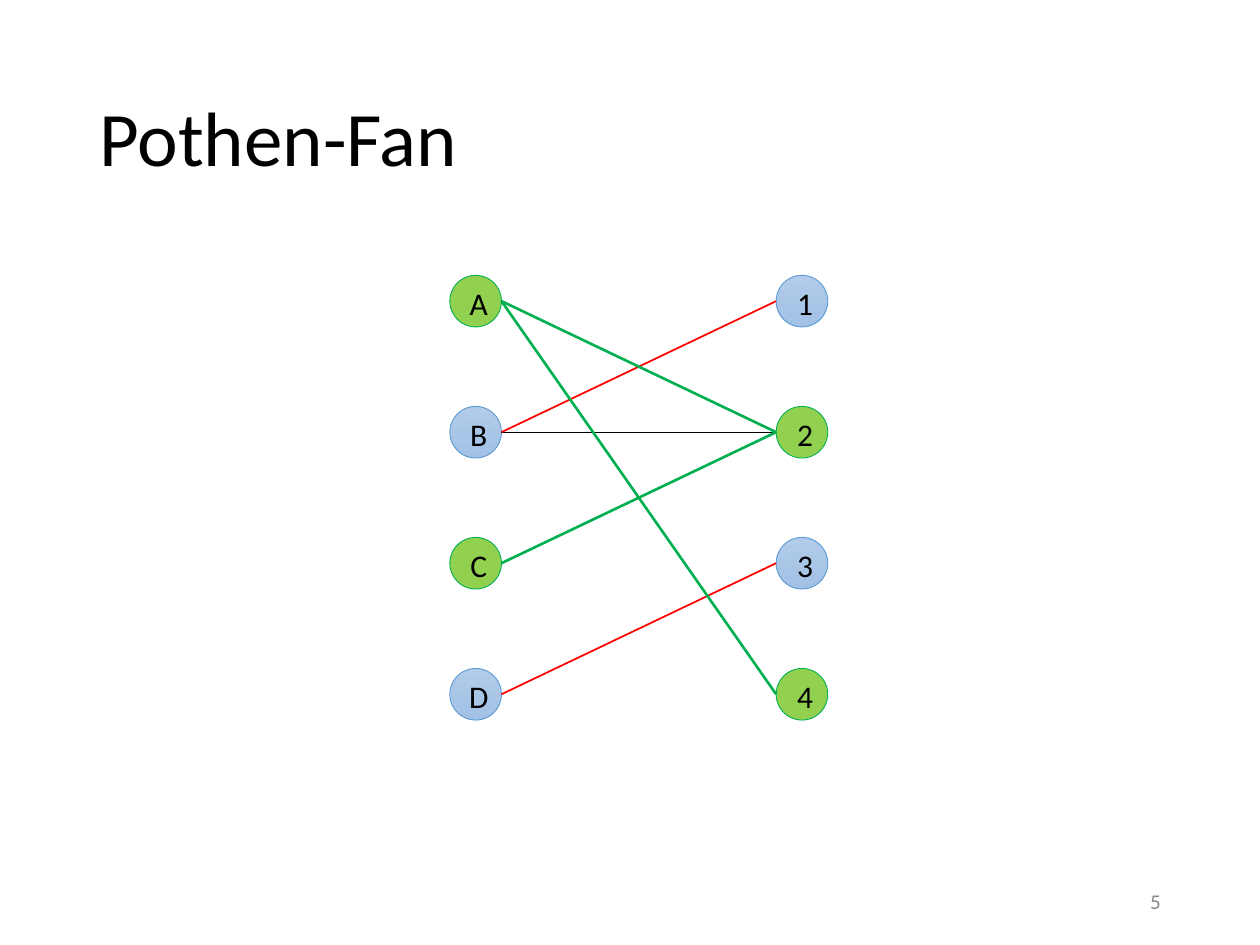
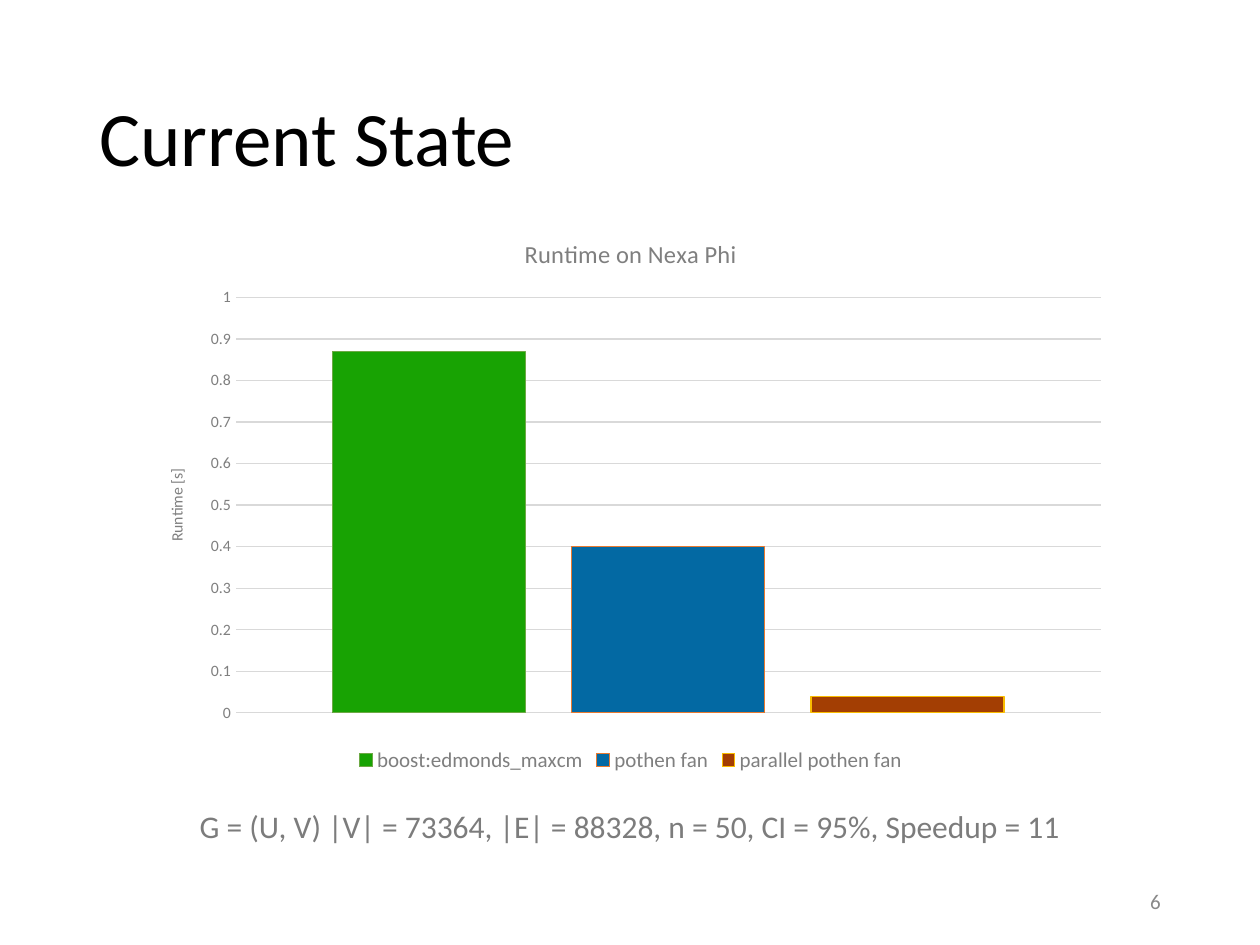
from dataclasses import dataclass

from lxml import etree
from pptx import Presentation
from pptx import util as u
from pptx.chart import data as chart_data
from pptx.dml.color import RGBColor
from pptx.enum import chart as ch, shapes, text
from pptx.oxml.ns import qn

# Content
MATCHING = {
    "title": "Pothen-Fan",
    "number": "5",
    "columns": ("ABCD", "1234"),
    "on_path": "AC24",
    "edges": [("B2", "idle"), ("B1", "matched"), ("D3", "matched"),
              ("C2", "augmenting"), ("A2", "augmenting"), ("A4", "augmenting")],
}
RUNTIME = {
    "title": "Current State",
    "number": "6",
    "chart_title": "Runtime on Nexa Phi",
    "axis_title": "Runtime [s]",
    "category": "1",
    "series": [("boost:edmonds_maxcm", 0.87, "18A303", "6DA945"),
               ("pothen fan", 0.4, "0369A3", "E87A30"),
               ("parallel pothen fan", 0.04, "A33E03", "F9BC00")],
    "caption": "G = (U, V) |V| = 73364, |E| = 88328, n = 50, CI = 95%, Speedup = 11",
}


@dataclass(frozen=True)
class Theme:
    font: str = "Calibri"
    ink: str = "000000"
    footer: str = "898989"
    caption: str = "7C7C7C"
    chart_text: str = "7F7F7F"
    grid: str = "D9D9D9"
    node_top: str = "B1CBE9"
    node_bottom: str = "A3C1E5"
    node_line: str = "5B9BD5"
    path_fill: str = "92D050"
    path_line: str = "00B050"
    title_size: int = 44
    body_size: int = 18
    chart_title_size: int = 14
    small_size: int = 12
    axis_size: int = 9


THEME = Theme()
EDGE_STYLES = {"idle": (THEME.ink, 0.5), "matched": ("FF0000", 1),
               "augmenting": (THEME.path_line, 1.5)}

# Places, in inches
TITLE_BOX = (0.69, 0.4, 8.63, 1.45)
NUMBER_BOX = (7.06, 6.95, 2.25, 0.4)
CHART_BOX = (1.12, 1.7, 7.77, 4.47)
CAPTION_BOX = (1.36, 6.36, 7.28, 0.4)
NODE_SIZE = 0.41
COLUMN_LEFTS = (3.57, 6.16)
FIRST_ROW, ROW_STEP = 2.39, 1.04


def inches(values):
    return [u.Inches(value) for value in values]


def apply(target, formats):
    for name, value in formats.items():
        setattr(target, name, value)


def style_font(font, size, color):
    apply(font, {"name": THEME.font, "size": u.Pt(size), "bold": False})
    font.color.rgb = RGBColor.from_string(color)


def style_line(line, color, width):
    line.color.rgb = RGBColor.from_string(color)
    line.width = u.Pt(width)


def fill_solid(fill, color):
    fill.solid()
    fill.fore_color.rgb = RGBColor.from_string(color)


def write(frame, words, size, color, frame_format, paragraph_format):
    apply(frame, {"word_wrap": True, **frame_format})
    paragraph = frame.paragraphs[0]
    apply(paragraph, paragraph_format)
    run = paragraph.add_run()
    run.text = words
    style_font(run.font, size, color)


def add_text(slide, box, words, size, color, anchor=text.MSO_ANCHOR.MIDDLE, **paragraph_format):
    frame = slide.shapes.add_textbox(*inches(box)).text_frame
    write(frame, words, size, color, {"vertical_anchor": anchor}, paragraph_format)


def add_page(deck, content):
    """Add a blank slide with the shared title and slide number."""
    slide = deck.slides.add_slide(deck.slide_layouts[6])
    add_text(slide, TITLE_BOX, content["title"], THEME.title_size, THEME.ink, line_spacing=0.9)
    add_text(slide, NUMBER_BOX, content["number"], THEME.small_size, THEME.footer,
             alignment=text.PP_ALIGN.RIGHT)
    return slide


def add_node(slide, label, left, middle, on_path):
    node = slide.shapes.add_shape(
        shapes.MSO_SHAPE.OVAL,
        *inches((left, middle - NODE_SIZE / 2, NODE_SIZE, NODE_SIZE)))
    node.shadow.inherit = False
    if on_path:
        fill_solid(node.fill, THEME.path_fill)
    else:
        node.fill.gradient()
        node.fill.gradient_angle = 270
        for stop, color in zip(node.fill.gradient_stops, (THEME.node_top, THEME.node_bottom)):
            stop.color.rgb = RGBColor.from_string(color)
    style_line(node.line, THEME.path_line if on_path else THEME.node_line, 0.5)
    write(node.text_frame, label, THEME.body_size, THEME.ink,
          {"margin_left": u.Inches(0.05), "margin_right": 0, "margin_top": u.Inches(0.03),
           "margin_bottom": 0, "vertical_anchor": text.MSO_ANCHOR.MIDDLE},
          {"alignment": text.PP_ALIGN.CENTER})


def add_edge(slide, start, end, color, width):
    edge = slide.shapes.add_connector(shapes.MSO_CONNECTOR.STRAIGHT, *inches(start + end))
    style_line(edge.line, color, width)
    etree.SubElement(edge.element.spPr, qn("a:effectLst"))


def build_matching(deck):
    slide = add_page(deck, MATCHING)
    inner_sides = (COLUMN_LEFTS[0] + NODE_SIZE, COLUMN_LEFTS[1])
    ports = {}
    for labels, left, side in zip(MATCHING["columns"], COLUMN_LEFTS, inner_sides):
        for row, label in enumerate(labels):
            middle = FIRST_ROW + row * ROW_STEP
            ports[label] = (side, middle)
            add_node(slide, label, left, middle, label in MATCHING["on_path"])
    for (start, end), state in MATCHING["edges"]:
        add_edge(slide, ports[start], ports[end], *EDGE_STYLES[state])


def title_part(part, words, size):
    """Give a chart or an axis its title."""
    part.has_title = True
    frame = (part.chart_title if hasattr(part, "chart_title") else part.axis_title).text_frame
    frame.text = words
    style_font(frame.paragraphs[0].runs[0].font, size, THEME.chart_text)


def build_runtime(deck):
    slide = add_page(deck, RUNTIME)
    runtimes = chart_data.CategoryChartData()
    runtimes.categories = [RUNTIME["category"]]
    for name, seconds, _, _ in RUNTIME["series"]:
        runtimes.add_series(name, [seconds])
    chart = slide.shapes.add_chart(
        ch.XL_CHART_TYPE.COLUMN_CLUSTERED, *inches(CHART_BOX), runtimes).chart
    style_font(chart.font, THEME.axis_size, THEME.chart_text)
    title_part(chart, RUNTIME["chart_title"], THEME.chart_title_size)
    chart.chart_title.include_in_layout = False

    chart.has_legend = True
    apply(chart.legend, {"position": ch.XL_LEGEND_POSITION.BOTTOM, "include_in_layout": False})
    style_font(chart.legend.font, THEME.small_size, THEME.chart_text)

    chart.category_axis.visible = False
    seconds_axis = chart.value_axis
    apply(seconds_axis, {"minimum_scale": 0, "maximum_scale": 1, "major_unit": 0.1,
                         "major_tick_mark": ch.XL_TICK_MARK.NONE,
                         "minor_tick_mark": ch.XL_TICK_MARK.NONE})
    apply(seconds_axis.tick_labels, {"number_format": "General",
                                     "number_format_is_linked": False})
    style_font(seconds_axis.tick_labels.font, THEME.axis_size, THEME.chart_text)
    title_part(seconds_axis, RUNTIME["axis_title"], THEME.axis_size)
    seconds_axis.format.line.fill.background()
    style_line(seconds_axis.major_gridlines.format.line, THEME.grid, 0.75)

    plot = chart.plots[0]
    apply(plot, {"gap_width": 100, "overlap": -24, "vary_by_categories": False})
    for bars, (_, _, fill, outline) in zip(plot.series, RUNTIME["series"]):
        fill_solid(bars.format.fill, fill)
        style_line(bars.format.line, outline, 0.75)

    add_text(slide, CAPTION_BOX, RUNTIME["caption"], THEME.body_size, THEME.caption,
             anchor=text.MSO_ANCHOR.TOP, alignment=text.PP_ALIGN.CENTER)


def main():
    deck = Presentation()
    apply(deck, {"slide_width": u.Inches(10), "slide_height": u.Inches(7.5)})
    build_matching(deck)
    build_runtime(deck)
    deck.save("out.pptx")


if __name__ == "__main__":
    main()
